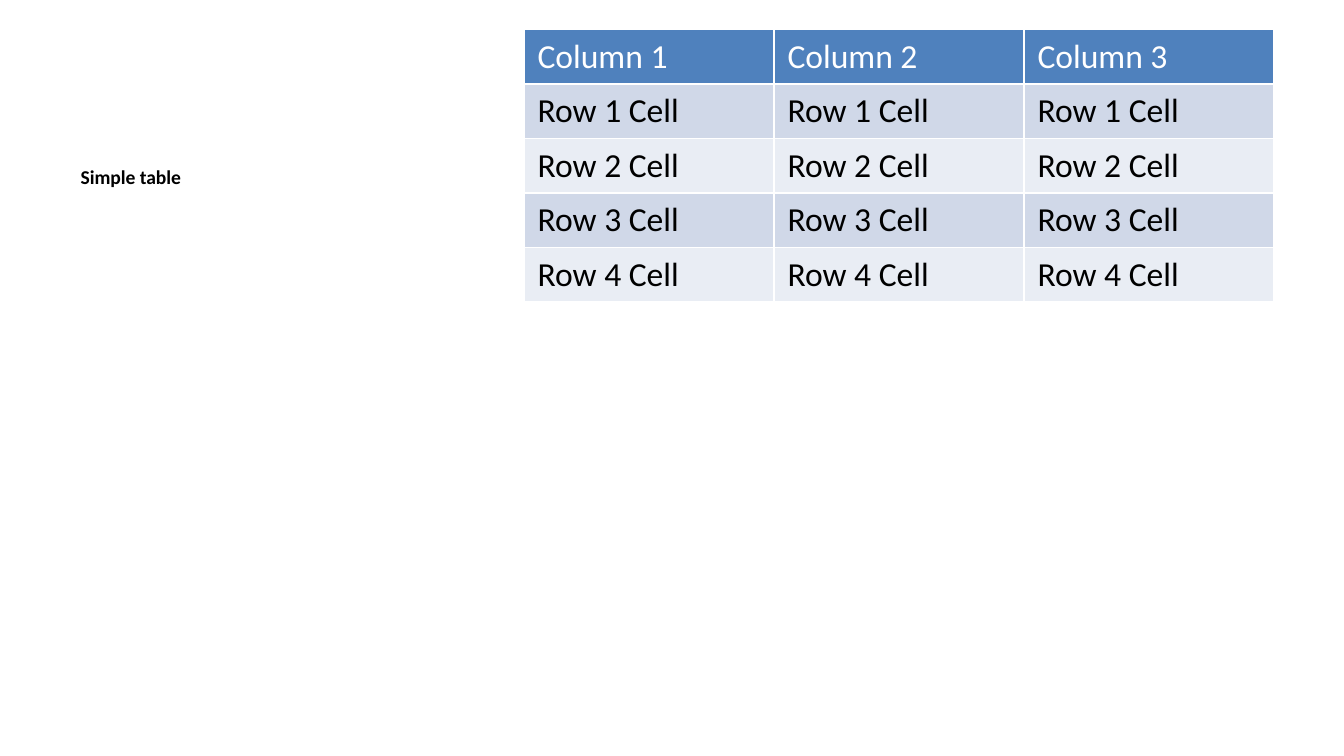
from pptx import Presentation
from pptx.dml.color import RGBColor
from pptx.util import Inches, Pt

CAPTION = "Simple table"
HEADS = [f"Column {n}" for n in range(1, 4)]
ROWS = [HEADS] + [[f"Row {n} Cell"] * len(HEADS) for n in range(1, 5)]
COLORS = {"head": "4F81BD", "odd": "D0D8E8", "even": "E9EDF4",
          "light": "FFFFFF", "dark": "000000"}
FONT = "Calibri"
COL_W, ROW_H = 1.86, 0.4


def style(para, size, color, bold=False):
    for run in para.runs:
        font = run.font
        font.name, font.size, font.bold = FONT, Pt(size), bold
        font.color.rgb = RGBColor.from_string(COLORS[color])


# Widescreen 16:9 slide
deck = Presentation()
deck.slide_width = Inches(10)
deck.slide_height = Inches(10 * 9 / 16)
slide = deck.slides.add_slide(deck.slide_layouts.get_by_name("Content with Caption"))

# Caption in the body placeholder; the unused placeholders go
for holder in list(slide.placeholders):
    if holder.placeholder_format.idx != 2:
        holder.element.getparent().remove(holder.element)
body = slide.placeholders[2]
body.left, body.top = Inches(0.5), Inches(1.18)
body.width, body.height = Inches(3.29), Inches(3.85)
body.text_frame.text = CAPTION
para = body.text_frame.paragraphs[0]
para.space_before = Pt(30)
style(para, 10.5, "dark", bold=True)

# Table: header row, then alternating bands
frame = slide.shapes.add_table(len(ROWS), len(HEADS), Inches(3.9), Inches(0.22),
                               Inches(COL_W * len(HEADS)), Inches(ROW_H * len(ROWS)))
table = frame.table
for r, row in enumerate(ROWS):
    band = "head" if r == 0 else "odd" if r % 2 else "even"
    for c, label in enumerate(row):
        cell = table.cell(r, c)
        cell.text = label
        cell.fill.solid()
        cell.fill.fore_color.rgb = RGBColor.from_string(COLORS[band])
        style(cell.text_frame.paragraphs[0], 18, "dark" if r else "light")

deck.save("out.pptx")
